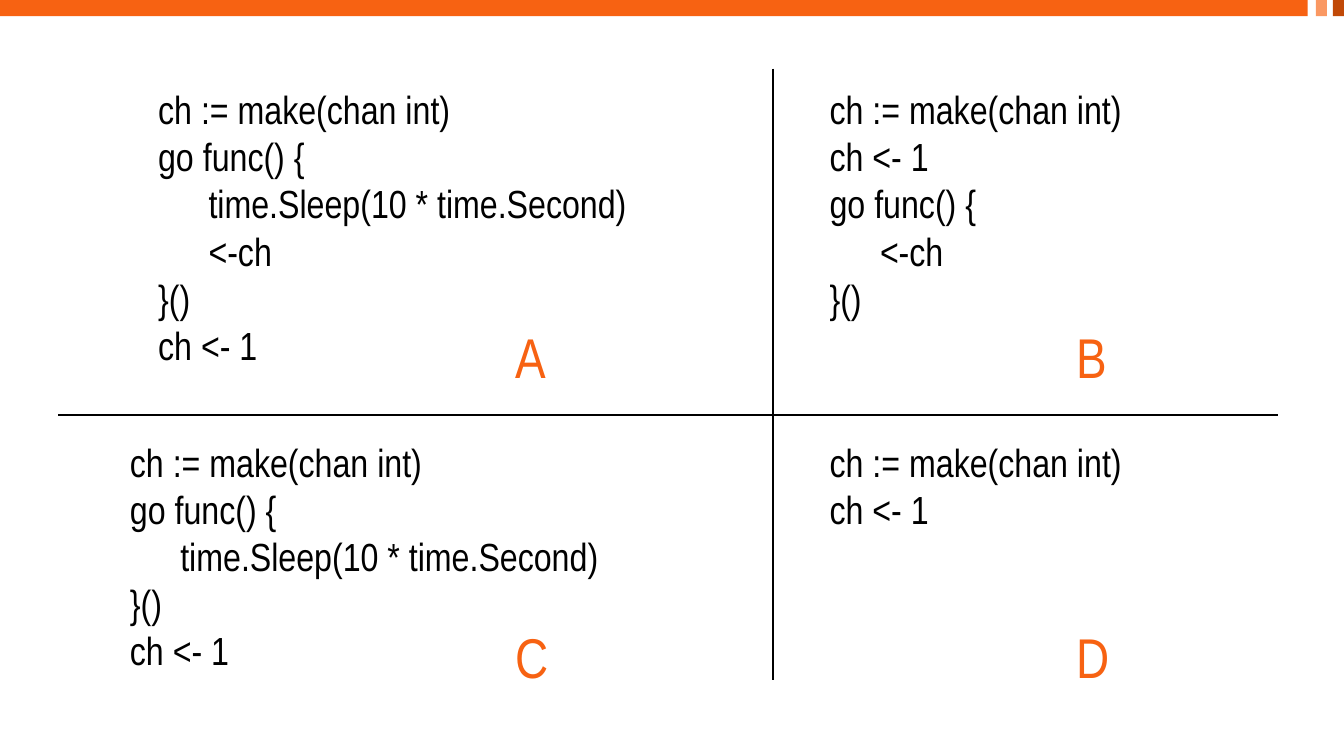
from pptx import Presentation
from pptx.dml.color import RGBColor
from pptx.enum.shapes import MSO_CONNECTOR as Conn, MSO_SHAPE as Shape
from pptx.oxml.ns import qn
from pptx.util import Inches, Pt

BLACK = RGBColor(0, 0, 0)
ORANGE = RGBColor(0xF7, 0x62, 0x12)
LIGHT = RGBColor(0xFA, 0x98, 0x62)
DARK = RGBColor(0xC1, 0x49, 0x07)
FONT = "Arial Narrow"

MAKE = "ch := make(chan int)"
SEND = "ch <- 1"
OPEN = "go func() {"
SLEEP = "\ttime.Sleep(10 * time.Second)"
TAKE = "\t<-ch"
CLOSE = "}()"


def add_text(slide, box, lines, size=28, color=BLACK, wrap=True):
    frame = slide.shapes.add_textbox(*map(Inches, box)).text_frame
    frame.word_wrap = wrap
    for i, line in enumerate(lines):
        para = frame.paragraphs[0] if i == 0 else frame.add_paragraph()
        run = para.add_run()
        run.text = line
        run.font.name = FONT
        run.font.size = Pt(size)
        run.font.color.rgb = color


def add_band(slide, left, top, width, height):
    # Long bar, then two short blocks ending at the right edge
    block = 0.11
    right = left + width
    parts = [(left, width - 0.36, ORANGE),
             (right - 0.28, block, LIGHT),
             (right - block, block, DARK)]
    for x, wide, color in parts:
        bar = slide.shapes.add_shape(
            Shape.RECTANGLE, *map(Inches, (x, top, wide, height)))
        bar.shadow.inherit = False
        bar.fill.solid()
        bar.fill.fore_color.rgb = color
        bar.line.fill.background()


def add_cross(slide, left, top, width, height):
    # Horizontal and vertical dividers
    mid_x, mid_y = left + 7.09, top + 3.44
    ends = [(left, mid_y, left + width, mid_y),
            (mid_x, top, mid_x, top + height)]
    for pair in ends:
        line = slide.shapes.add_connector(Conn.STRAIGHT, *map(Inches, pair))
        line.line.color.rgb = BLACK
        line.line.width = Pt(1.5)
        props = line._element.spPr
        props.append(props.makeelement(qn("a:effectLst"), {}))


def add_panel(slide, left, top, width, mark, mark_at, lines):
    # Code sample with its answer letter
    height = 0.1 + 0.47 * len(lines)
    add_text(slide, (left, top, width, height), lines)
    add_text(slide, (*mark_at, 0.55, 0.77), [mark],
             size=40, color=ORANGE, wrap=False)


def main():
    prs = Presentation()
    prs.slide_width, prs.slide_height = Inches(13.33), Inches(7.5)
    slide = prs.slides.add_slide(prs.slide_layouts[6])

    add_band(slide, 0, 0, 13.33, 0.16)

    # Rows and columns shared by the four panels
    upper, lower = 0.8, 4.3
    mark_up, mark_low = 3.15, 6.13
    mark_left, mark_right = 5.01, 10.58
    right = 8.13
    add_panel(slide, 1.47, upper, 6.08, "A", (mark_left, mark_up),
              [MAKE, OPEN, SLEEP, TAKE, CLOSE, SEND])
    add_panel(slide, right, upper, 3.54, "B", (mark_right, mark_up),
              [MAKE, SEND, OPEN, TAKE, CLOSE])
    add_panel(slide, 1.19, lower, 5.85, "C", (mark_left, mark_low),
              [MAKE, OPEN, SLEEP, CLOSE, SEND])
    add_panel(slide, right, lower, 4.01, "D", (mark_right, mark_low),
              [MAKE, SEND])

    add_cross(slide, 0.58, 0.68, 12.1, 6.07)
    prs.save("out.pptx")


if __name__ == "__main__":
    main()
